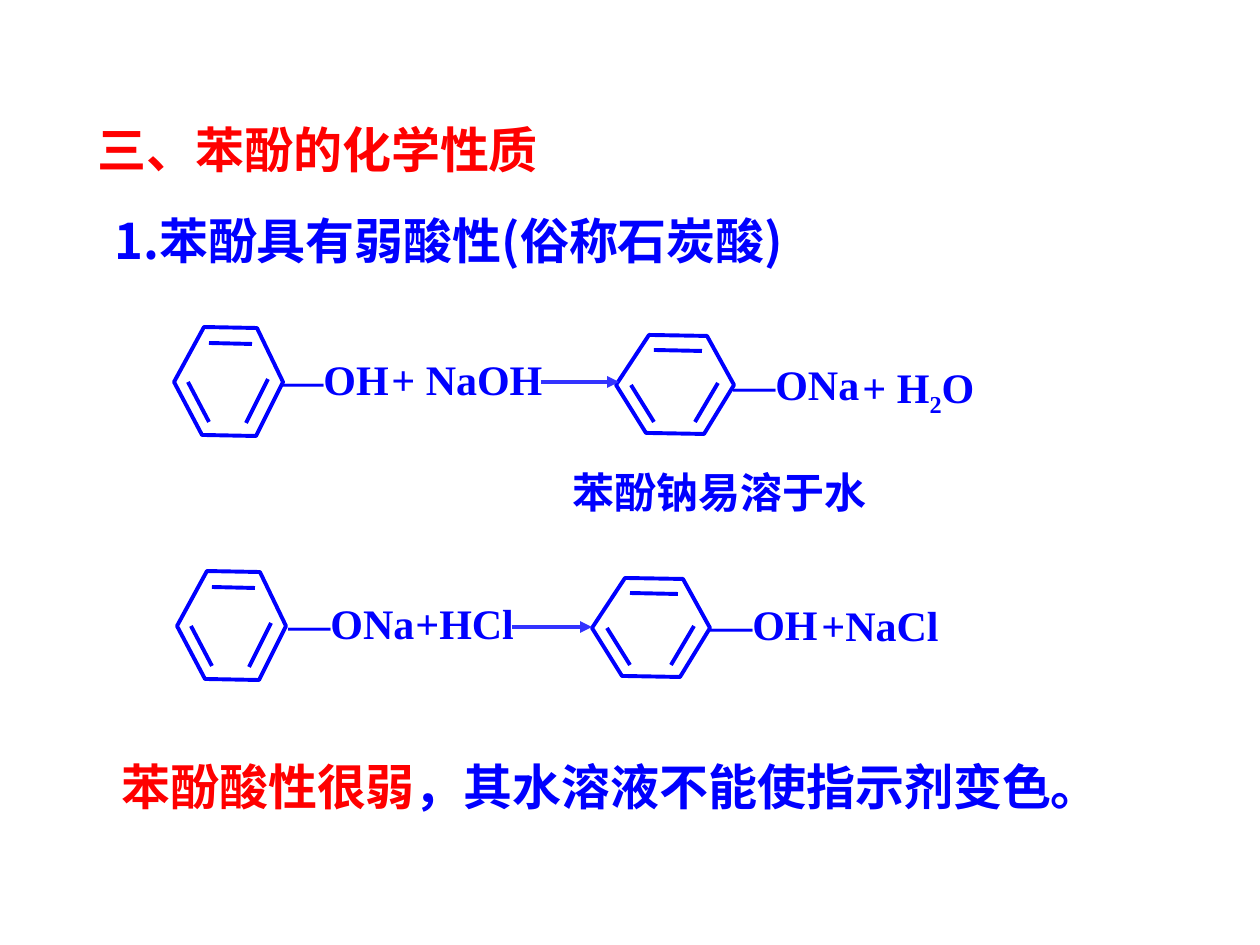
from dataclasses import dataclass

import lxml.etree
import pptx
import pptx.dml.color
import pptx.enum.shapes
import pptx.enum.text
import pptx.oxml.ns
import pptx.util

EMU_PER_PX = 914400 / 126
BLUE = "0000FF"
RED = "FF0000"
ARROW_BLUE = "3333FF"
CHINESE = "Noto Sans CJK SC"
LATIN = "Times New Roman"
LINE_WIDTH = 2.25

Point = tuple[int, int]


@dataclass(frozen=True)
class Run:
    text: str
    color: str = BLUE
    baseline: int = 0


@dataclass(frozen=True)
class Ring:
    corners: tuple[Point, ...]
    double_bonds: tuple[tuple[Point, Point], ...]


@dataclass(frozen=True)
class Formula:
    runs: tuple[Run, ...]
    box: tuple[int, int, int, int]


@dataclass(frozen=True)
class Reaction:
    reactant_at: Point
    product_at: Point
    arrow: tuple[Point, Point]
    formulas: tuple[Formula, ...]


REACTANT_RING = Ring(
    ((30, 0), (83, 1), (109, 55), (82, 109), (28, 108), (0, 55)),
    (((35, 16), (78, 17)), ((14, 55), (35, 95)), ((72, 96), (94, 52))),
)
PRODUCT_RING = Ring(
    ((33, 0), (91, 1), (118, 50), (88, 99), (30, 98), (0, 50)),
    (((38, 15), (86, 16)), ((15, 50), (38, 87)), ((79, 87), (102, 48))),
)

REACTIONS = (
    Reaction((174, 327), (616, 335), ((541, 382), (619, 382)), (
        Formula((Run("—OH"),), (269, 347, 170, 63)),
        Formula((Run("+ NaOH"),), (379, 347, 190, 63)),
        Formula((Run("—ONa"),), (721, 352, 188, 63)),
        Formula((Run("+ H"), Run("2", baseline=-25), Run("O")), (850, 355, 271, 71)),
    )),
    Reaction((177, 571), (592, 578), ((512, 627), (592, 627)), (
        Formula((Run("—ONa"),), (276, 591, 170, 63)),
        Formula((Run("+HCl"),), (403, 591, 150, 63)),
        Formula((Run("—OH"),), (698, 592, 188, 63)),
        Formula((Run("+NaCl"),), (809, 593, 271, 63)),
    )),
)


def px(length: int) -> int:
    return round(length * EMU_PER_PX)


def rgb(value: str) -> pptx.dml.color.RGBColor:
    return pptx.dml.color.RGBColor.from_string(value)


def add_child(parent, tag: str, **attributes: str) -> None:
    child = lxml.etree.SubElement(parent, pptx.oxml.ns.qn(tag))
    for key, value in attributes.items():
        child.set(key, value)


def write_text(shape, runs: tuple[Run, ...], *, size: int, font: str,
               line_spacing: float = 1.0) -> None:
    frame = shape.text_frame
    frame.word_wrap = True
    frame.auto_size = pptx.enum.text.MSO_AUTO_SIZE.SHAPE_TO_FIT_TEXT
    frame.vertical_anchor = pptx.enum.text.MSO_ANCHOR.TOP
    paragraph = frame.paragraphs[0]
    paragraph.alignment = pptx.enum.text.PP_ALIGN.LEFT
    paragraph.line_spacing = line_spacing
    for part in runs:
        run = paragraph.add_run()
        run.text = part.text
        run.font.size = pptx.util.Pt(size)
        run.font.bold = True
        run.font.name = font
        run.font.color.rgb = rgb(part.color)
        properties = run.font._element
        add_child(properties, "a:ea", typeface=CHINESE)
        if part.baseline:
            properties.set("baseline", str(part.baseline * 1000))


def add_text(slide, runs: tuple[Run, ...], box: tuple[int, int, int, int], **text_format) -> None:
    write_text(slide.shapes.add_textbox(*map(px, box)), runs, **text_format)


def add_line(slide, start: Point, end: Point, color: str = BLUE, arrow: bool = False) -> None:
    line = slide.shapes.add_connector(
        pptx.enum.shapes.MSO_CONNECTOR.STRAIGHT, *map(px, start + end))
    line.line.color.rgb = rgb(color)
    line.line.width = pptx.util.Pt(LINE_WIDTH)
    if arrow:
        add_child(line.line._get_or_add_ln(), "a:tailEnd", type="triangle")
    add_child(line._element.spPr, "a:effectLst")


def add_ring(slide, ring: Ring, origin: Point) -> None:
    def shifted(point: Point) -> Point:
        return origin[0] + point[0], origin[1] + point[1]

    first, *others = map(shifted, ring.corners)
    builder = slide.shapes.build_freeform(*first, scale=EMU_PER_PX)
    builder.add_line_segments(others, close=True)
    outline = builder.convert_to_shape()
    outline.shadow.inherit = False
    outline.fill.background()
    outline.line.color.rgb = rgb(BLUE)
    outline.line.width = pptx.util.Pt(LINE_WIDTH)
    for start, end in ring.double_bonds:
        add_line(slide, shifted(start), shifted(end))


def add_reaction(slide, reaction: Reaction) -> None:
    add_ring(slide, REACTANT_RING, reaction.reactant_at)
    add_ring(slide, PRODUCT_RING, reaction.product_at)
    for formula in reaction.formulas:
        add_text(slide, formula.runs, formula.box, size=24, font=LATIN)
    add_line(slide, *reaction.arrow, color=ARROW_BLUE, arrow=True)


def main() -> None:
    presentation = pptx.Presentation()
    presentation.slide_width = px(1260)
    presentation.slide_height = px(945)
    slide = presentation.slides.add_slide(presentation.slide_layouts[5])

    title = slide.shapes.title
    title.left, title.top, title.width, title.height = map(px, (85, 84, 1094, 101))
    write_text(title, (Run("三、苯酚的化学性质", RED),), size=28, font=CHINESE, line_spacing=1.5)
    add_text(slide, (Run("1.苯酚具有弱酸性(俗称石炭酸)"),), (102, 175, 791, 101),
             size=28, font=CHINESE, line_spacing=1.5)

    for reaction in REACTIONS:
        add_reaction(slide, reaction)

    add_text(slide, (Run("苯酚钠易溶于水"),), (560, 460, 333, 63), size=24, font=LATIN)
    add_text(slide, (Run("苯酚酸性很弱", RED), Run("，其水溶液不能使指示剂变色。")),
             (109, 750, 1023, 72), size=28, font=CHINESE)
    presentation.save("out.pptx")


if __name__ == "__main__":
    main()
